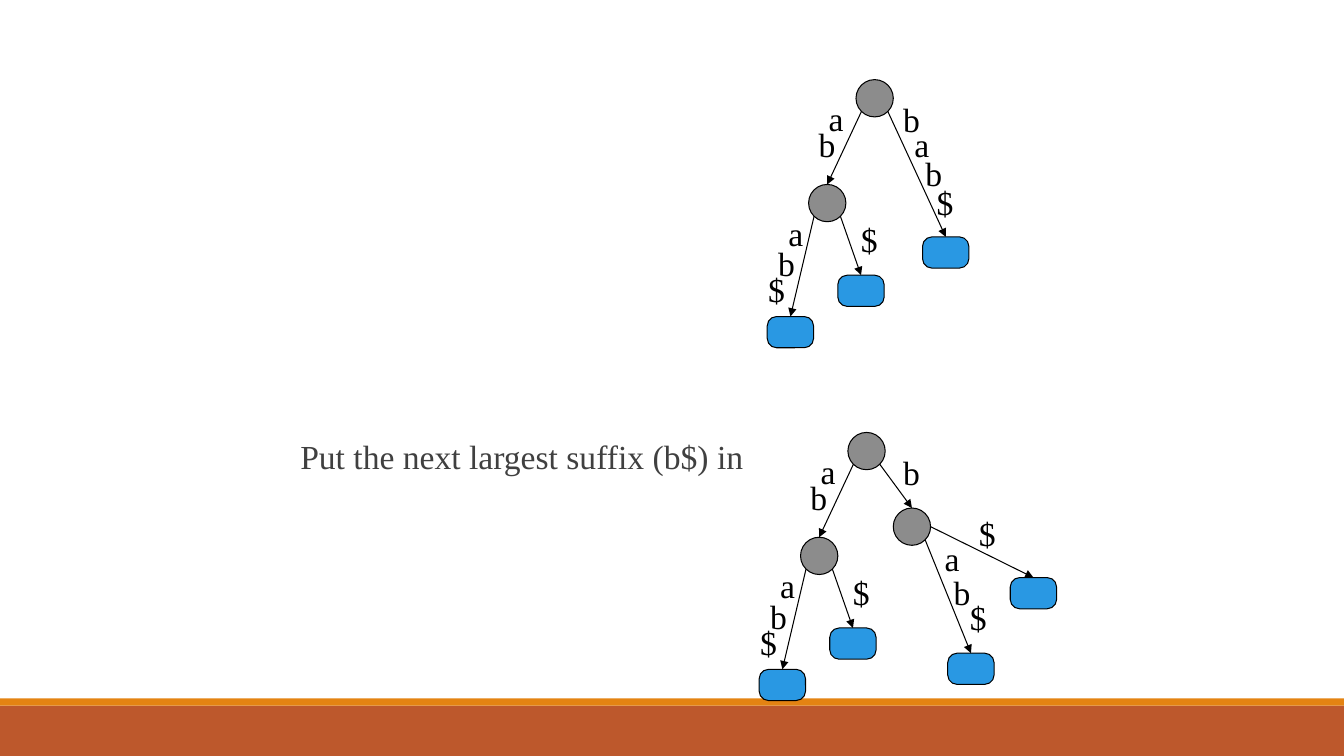
import dataclasses
import enum
import math

import pptx
import pptx.dml.color
import pptx.enum.shapes
import pptx.enum.text
import pptx.oxml
import pptx.oxml.ns
import pptx.util
from pptx.util import Inches

COLORS = {
    "black": "000000", "caption": "404040", "node": "8C8C8C",
    "leaf": "2998E3", "footer": "BD582C", "stripe": "E48312",
}
FONT = "Times New Roman"
NODE_SIZE = 0.37
LEAF_WIDTH, LEAF_HEIGHT = 0.46, 0.31
LABEL_WIDTH, TEXT_HEIGHT = 0.42, 0.5
SHAPES = pptx.enum.shapes.MSO_SHAPE


class Exit(enum.Enum):
    """Angle in degrees, clockwise from the right, at which an edge leaves a node."""
    RIGHT = 0
    LOWER_RIGHT = 45
    LOWER_LEFT = 135


@dataclasses.dataclass(frozen=True)
class Vertex:
    """A tree vertex: an inner node or a leaf, with its top-left corner."""
    name: str
    left: float
    top: float
    is_leaf: bool = False


@dataclasses.dataclass(frozen=True)
class Edge:
    """An arrow from a node to the top of its child."""
    parent: str
    child: str
    exit: Exit


@dataclasses.dataclass(frozen=True)
class Label:
    """One letter beside an edge."""
    letter: str
    left: float
    top: float


@dataclasses.dataclass(frozen=True)
class Tree:
    """A suffix tree or a part of one."""
    vertices: list[Vertex]
    edges: list[Edge]
    labels: list[Label]

    def moved(self, right: float, down: float) -> "Tree":
        """Return the tree shifted by the given inches."""
        def shift(item):
            return dataclasses.replace(item, left=item.left + right, top=item.top + down)
        return Tree([shift(v) for v in self.vertices], self.edges,
                    [shift(label) for label in self.labels])

    def joined(self, other: "Tree") -> "Tree":
        """Return this tree together with another part."""
        return Tree(self.vertices + other.vertices, self.edges + other.edges,
                    self.labels + other.labels)


LEFT_BRANCH = Tree(
    [Vertex("root", 8.49, 0.79), Vertex("ab", 8.02, 1.83),
     Vertex("abab$", 7.61, 3.14, True), Vertex("ab$", 8.31, 2.73, True)],
    [Edge("root", "ab", Exit.LOWER_LEFT), Edge("ab", "abab$", Exit.LOWER_LEFT),
     Edge("ab", "ab$", Exit.LOWER_RIGHT)],
    [Label("a", 8.12, 0.92), Label("b", 8.02, 1.18), Label("a", 7.72, 2.06),
     Label("b", 7.62, 2.36), Label("$", 7.52, 2.62), Label("$", 8.44, 2.12)],
)
BAB_BRANCH = Tree(
    [Vertex("bab$", 9.15, 2.35, True)],
    [Edge("root", "bab$", Exit.LOWER_RIGHT)],
    [Label("b", 8.86, 0.93), Label("a", 8.97, 1.18),
     Label("b", 9.08, 1.47), Label("$", 9.19, 1.76)],
)
SPLIT_BRANCH = Tree(
    [Vertex("b", 8.86, 5.04), Vertex("bab$", 9.4, 6.48, True),
     Vertex("b$", 10.02, 5.73, True)],
    [Edge("root", "b", Exit.LOWER_RIGHT), Edge("b", "bab$", Exit.LOWER_RIGHT),
     Edge("b", "b$", Exit.RIGHT)],
    [Label("b", 8.86, 4.43), Label("a", 9.27, 5.29), Label("b", 9.36, 5.62),
     Label("$", 9.52, 5.87), Label("$", 9.61, 5.04)],
)
TREES = [LEFT_BRANCH.joined(BAB_BRANCH),
         LEFT_BRANCH.moved(-0.08, 3.5).joined(SPLIT_BRANCH)]


def rgb(name: str) -> pptx.dml.color.RGBColor:
    """Look up a named colour."""
    return pptx.dml.color.RGBColor.from_string(COLORS[name])


def add_filled(slide, kind, left: float, top: float, width: float, height: float, color: str):
    """Add a plain filled shape without outline."""
    shape = slide.shapes.add_shape(kind, Inches(left), Inches(top), Inches(width), Inches(height))
    shape.shadow.inherit = False
    shape.fill.solid()
    shape.fill.fore_color.rgb = rgb(color)
    shape.line.fill.background()
    return shape


def add_text(slide, text: str, left: float, top: float, width: float, color: str) -> None:
    """Add a line of text."""
    box = slide.shapes.add_textbox(Inches(left), Inches(top), Inches(width), Inches(TEXT_HEIGHT))
    frame = box.text_frame
    frame.word_wrap = True
    frame.auto_size = pptx.enum.text.MSO_AUTO_SIZE.SHAPE_TO_FIT_TEXT
    paragraph = frame.paragraphs[0]
    paragraph.text = text
    paragraph.font.name = FONT
    paragraph.font.size = pptx.util.Pt(24)
    paragraph.font.color.rgb = rgb(color)


def set_outline(line) -> None:
    """Give a line the thin black stroke."""
    line.color.rgb = rgb("black")
    line.width = pptx.util.Pt(0.75)


def add_vertex(slide, vertex: Vertex):
    """Draw a node as a circle or a leaf as a rounded rectangle."""
    if vertex.is_leaf:
        shape = add_filled(slide, SHAPES.ROUNDED_RECTANGLE, vertex.left, vertex.top,
                           LEAF_WIDTH, LEAF_HEIGHT, "leaf")
        shape.adjustments[0] = 0.3
    else:
        shape = add_filled(slide, SHAPES.OVAL, vertex.left, vertex.top,
                           NODE_SIZE, NODE_SIZE, "node")
    set_outline(shape.line)
    return shape


def add_edge(slide, parent: Vertex, child_shape, leave: Exit) -> None:
    """Draw an arrow from the rim of a node to the top of its child."""
    radius = NODE_SIZE / 2
    angle = math.radians(leave.value)
    start_x = Inches(parent.left + radius * (1 + math.cos(angle)))
    start_y = Inches(parent.top + radius * (1 + math.sin(angle)))
    arrow = slide.shapes.add_connector(pptx.enum.shapes.MSO_CONNECTOR.STRAIGHT,
                                       start_x, start_y, start_x, start_y)
    arrow.end_connect(child_shape, 0)
    set_outline(arrow.line)
    tail = pptx.oxml.parse_xml(f'<a:tailEnd {pptx.oxml.ns.nsdecls("a")} type="triangle"/>')
    arrow.line._get_or_add_ln().append(tail)
    effects = pptx.oxml.parse_xml(f'<a:effectLst {pptx.oxml.ns.nsdecls("a")}/>')
    arrow._element.spPr.append(effects)


def add_tree(slide, tree: Tree) -> None:
    """Draw the vertices, edges and letters of a tree."""
    vertices = {vertex.name: vertex for vertex in tree.vertices}
    shapes = {name: add_vertex(slide, vertex) for name, vertex in vertices.items()}
    for edge in tree.edges:
        add_edge(slide, vertices[edge.parent], shapes[edge.child], edge.exit)
    for label in tree.labels:
        add_text(slide, label.letter, label.left, label.top, LABEL_WIDTH, "black")


def main() -> None:
    """Build the suffix tree slide."""
    presentation = pptx.Presentation()
    presentation.slide_width, presentation.slide_height = Inches(13.33), Inches(7.5)
    slide = presentation.slides.add_slide(presentation.slide_layouts[6])
    add_filled(slide, SHAPES.RECTANGLE, 0, 7, 13.33, 0.5, "footer")
    add_filled(slide, SHAPES.RECTANGLE, 0, 6.93, 13.33, 0.07, "stripe")
    add_text(slide, "Put the next largest suffix (b$) in", 2.88, 4.28, 4.66, "caption")
    for tree in TREES:
        add_tree(slide, tree)
    presentation.save("out.pptx")


if __name__ == "__main__":
    main()
